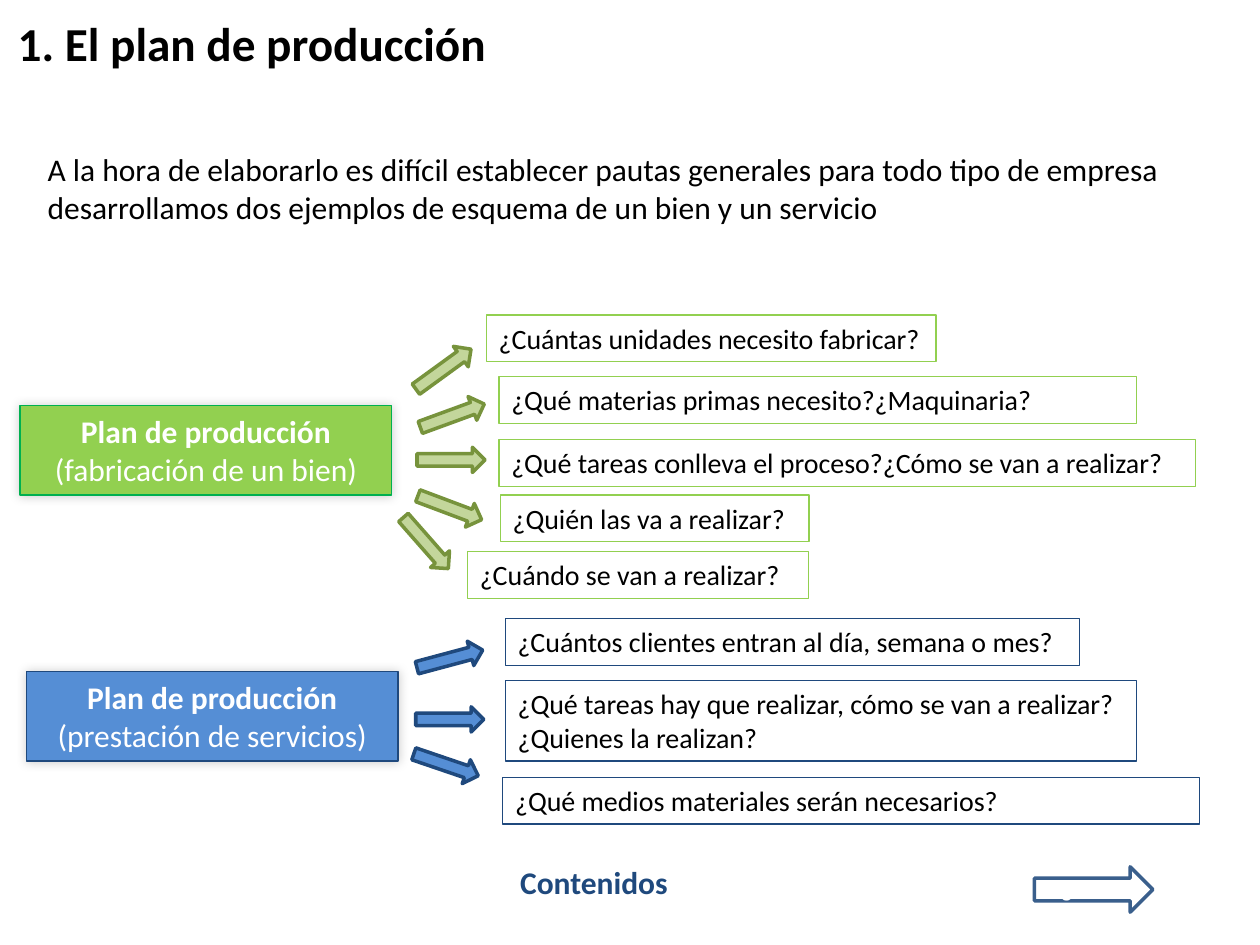
from lxml.etree import SubElement
from pptx import Presentation
from pptx.dml.color import RGBColor
from pptx.enum.shapes import MSO_SHAPE as Shape
from pptx.enum.text import MSO_ANCHOR as Anchor, MSO_AUTO_SIZE as AutoSize, PP_ALIGN as Align
from pptx.oxml.ns import qn
from pptx.util import Inches, Pt

SLIDE_WIDTH, SLIDE_HEIGHT = Inches(10), Inches(7.5)
COLUMNS, ROWS = 100, 75
FONT = "Calibri"
BLACK = RGBColor(0x00, 0x00, 0x00)
WHITE = RGBColor(0xFF, 0xFF, 0xFF)
LIME = RGBColor(0x92, 0xD0, 0x50)
GREEN = RGBColor(0x00, 0xB0, 0x50)
SAGE = RGBColor(0xC3, 0xD6, 0x9B)
OLIVE = RGBColor(0x77, 0x93, 0x3C)
BLUE = RGBColor(0x55, 0x8E, 0xD5)
NAVY = RGBColor(0x1F, 0x49, 0x7D)
STEEL = RGBColor(0x3A, 0x5F, 0x8C)

ARROW_WIDTH, ARROW_HEIGHT = 5.4, 2
LINE_HEIGHT = 3.7
PLAN_WIDTH, PLAN_HEIGHT = 29.5, 7.1

GOODS_QUESTIONS = [
    ("¿Cuántas unidades necesito fabricar?", 38.6, 25, 35.7, LINE_HEIGHT),
    ("¿Qué materias primas necesito?¿Maquinaria?", 39.6, 29.9, 50.6, LINE_HEIGHT),
    ("¿Qué tareas conlleva el proceso?¿Cómo se van a realizar?", 39.6, 34.9, 55.3, LINE_HEIGHT),
    ("¿Quién las va a realizar?", 39.7, 39.3, 24.5, LINE_HEIGHT),
    ("¿Cuándo se van a realizar?", 37.1, 43.8, 27.1, LINE_HEIGHT),
]
GOODS_ARROWS = [
    (32.5, 28.3, 324),
    (33.2, 32, 339.9),
    (33.1, 35.5, 0),
    (33, 39.3, 20.6),
    (31.1, 42.1, 48.7),
]
SERVICE_QUESTIONS = [
    ("¿Cuántos clientes entran al día, semana o mes?", 40.1, 49.1, 45.6, LINE_HEIGHT),
    ("¿Qué tareas hay que realizar, cómo se van a realizar? ¿Quienes la realizan?",
     40.1, 54, 50.1, 6.4),
    ("¿Qué medios materiales serán necesarios?", 39.9, 61.7, 55.3, LINE_HEIGHT),
]
SERVICE_ARROWS = [(33, 51.3, 345), (33, 56.1, 0), (32.7, 59.7, 18.8)]


def grid(left, top, width, height):
    column, row = SLIDE_WIDTH / COLUMNS, SLIDE_HEIGHT / ROWS
    return (int(left * column), int(top * row), int(width * column), int(height * row))


def write(frame, lines, size, color, bold=False, align=Align.LEFT, anchor=Anchor.TOP):
    frame.word_wrap = True
    frame.vertical_anchor = anchor
    for index, line in enumerate(lines):
        paragraph = frame.paragraphs[0] if index == 0 else frame.add_paragraph()
        paragraph.text = line
        paragraph.alignment = align
        paragraph.font.name = FONT
        paragraph.font.size = Pt(size)
        paragraph.font.bold = bold
        paragraph.font.color.rgb = color


def add_title(slide, text):
    title = slide.shapes.title
    title.left, title.top, title.width, title.height = grid(0.4, 0, 90, 6.7)
    write(title.text_frame, [text], 27, BLACK, bold=True, anchor=Anchor.MIDDLE)


def add_text(slide, text, area, color=BLACK, bold=False):
    frame = slide.shapes.add_textbox(*grid(*area)).text_frame
    write(frame, [text], 18, color, bold)
    frame.auto_size = AutoSize.SHAPE_TO_FIT_TEXT


def add_outlined(slide, kind, area, line, weight, fill=None):
    shape = slide.shapes.add_shape(kind, *grid(*area))
    shape.shadow.inherit = False
    if fill is None:
        shape.fill.background()
    else:
        shape.fill.solid()
        shape.fill.fore_color.rgb = fill
    shape.line.color.rgb = line
    shape.line.width = Pt(weight)
    return shape


def add_glow_shadow(shape):
    effects = shape.element.spPr.find(qn("a:effectLst"))
    shadow = SubElement(effects, qn("a:outerShdw"), blurRad=str(Pt(6)), dist="0",
                        dir=str(225 * 60000), rotWithShape="0")
    color = SubElement(shadow, qn("a:srgbClr"), val=str(BLACK))
    SubElement(color, qn("a:alpha"), val="20000")


def add_plan(slide, subject, left, top, fill, line):
    plan = add_outlined(slide, Shape.RECTANGLE, (left, top, PLAN_WIDTH, PLAN_HEIGHT),
                        line, 0.75, fill)
    add_glow_shadow(plan)
    frame = plan.text_frame
    write(frame, ["Plan de producción", subject], 18, WHITE, align=Align.CENTER)
    frame.paragraphs[0].font.bold = True
    frame.auto_size = AutoSize.SHAPE_TO_FIT_TEXT


def add_questions(slide, questions, line):
    for text, *area in questions:
        frame = add_outlined(slide, Shape.RECTANGLE, area, line, 0.75).text_frame
        write(frame, [text], 16, BLACK)
        frame.auto_size = AutoSize.SHAPE_TO_FIT_TEXT


def add_arrows(slide, arrows, fill, line):
    for left, top, angle in arrows:
        arrow = add_outlined(slide, Shape.RIGHT_ARROW, (left, top, ARROW_WIDTH, ARROW_HEIGHT),
                             line, 2, fill)
        arrow.rotation = angle


def add_next_arrow(slide, text):
    arrow = add_outlined(slide, Shape.RIGHT_ARROW, (82.1, 68.8, 9.4, 3.6), STEEL, 2)
    write(arrow.text_frame, [text], 12, WHITE, bold=True, align=Align.CENTER,
          anchor=Anchor.MIDDLE)


def main():
    deck = Presentation()
    deck.slide_width, deck.slide_height = SLIDE_WIDTH, SLIDE_HEIGHT
    slide = deck.slides.add_slide(deck.slide_layouts[5])

    add_title(slide, "1. El plan de producción")
    add_text(slide, "A la hora de elaborarlo es difícil establecer pautas generales para todo "
             "tipo de empresa desarrollamos dos ejemplos de esquema de un bien y un servicio",
             (2.8, 11.4, 94.5, 7.1))

    add_plan(slide, "(fabricación de un bien)", 1.6, 32.2, LIME, GREEN)
    add_questions(slide, GOODS_QUESTIONS, LIME)
    add_arrows(slide, GOODS_ARROWS, SAGE, OLIVE)

    add_plan(slide, "(prestación de servicios)", 2.1, 53.3, BLUE, NAVY)
    add_questions(slide, SERVICE_QUESTIONS, NAVY)
    add_arrows(slide, SERVICE_ARROWS, BLUE, NAVY)

    add_next_arrow(slide, "siguiente")
    add_text(slide, "Contenidos", (40.3, 68, 14.4, 4), NAVY, bold=True)
    deck.save("out.pptx")


if __name__ == "__main__":
    main()
